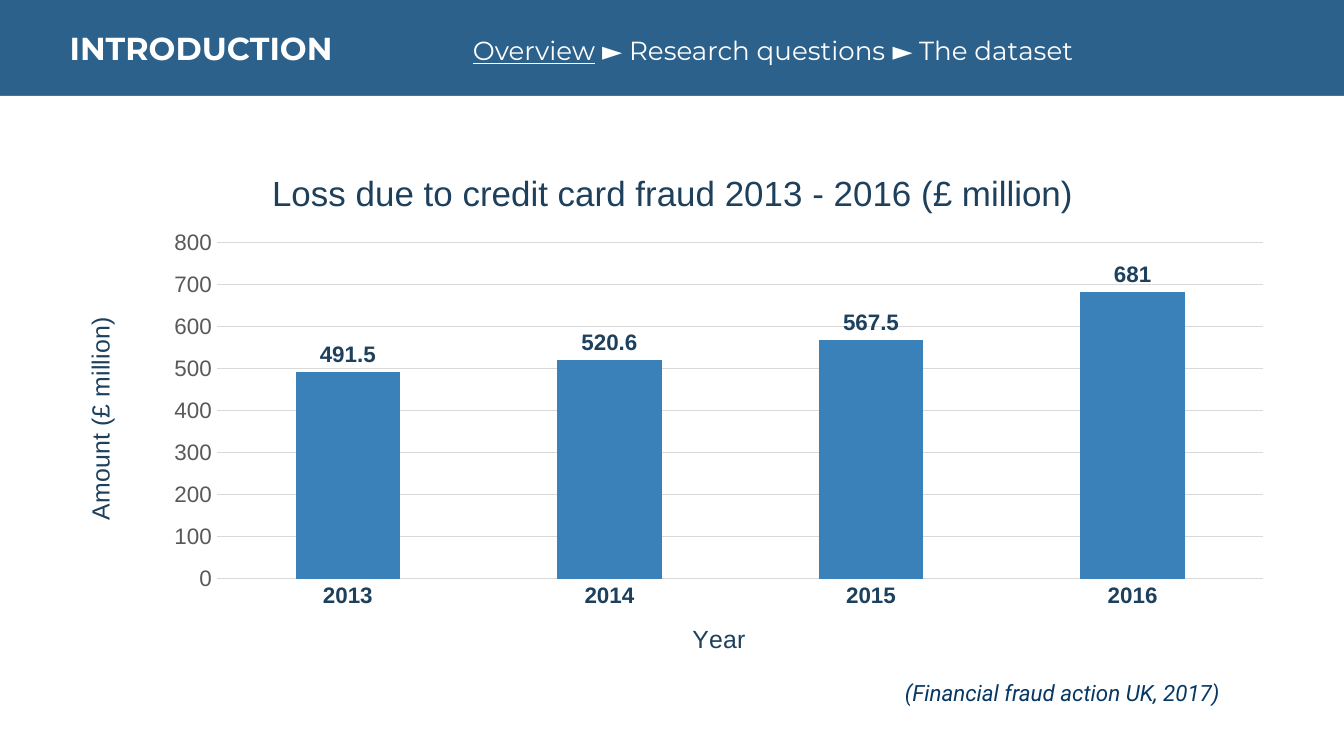
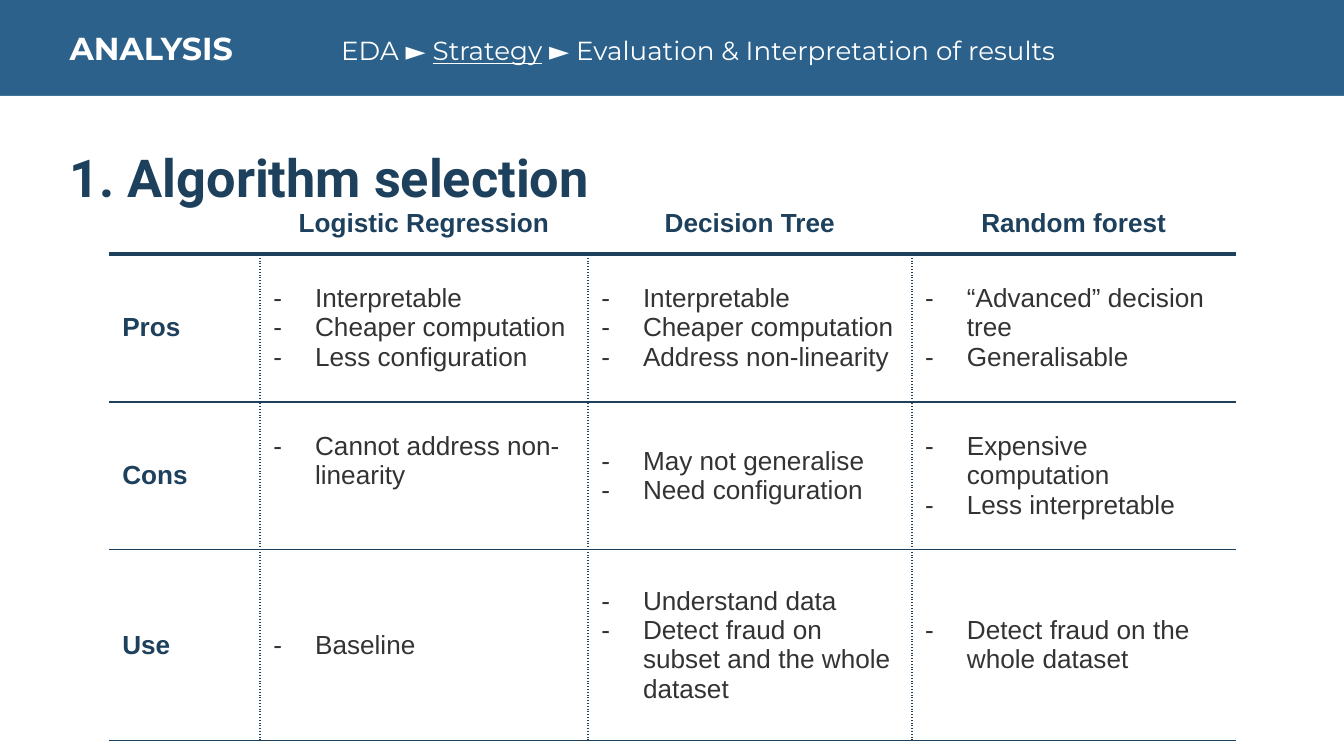
from lxml import etree
from pptx import Presentation
from pptx import util as u
from pptx.chart import data as chart_data
from pptx.dml.color import RGBColor
from pptx.enum import chart as charts, shapes, text
from pptx.oxml.ns import qn

CELL = u.Inches(0.1)
COLUMNS, ROWS = 100, 56.25
PLAIN_TABLE = "{2D5ABB26-0587-4C30-8999-92F81FD0307C}"
COLOURS = {
    "band": "2B618B",
    "paper": "FFFFFF",
    "navy": "1D405D",
    "body": "333333",
    "source": "073763",
    "bar": "3A81BA",
    "grid": "D9D9D9",
    "scale": "595959",
}


def grid(*cells):
    """Turn grid columns or rows into lengths."""
    return [int(CELL * cell) for cell in cells]


def rgb(name):
    """Look up a named colour."""
    return RGBColor.from_string(COLOURS[name])


def style(font, face="Arial", size=14, colour="navy", bold=False, italic=False, underline=False):
    """Apply a text format to a font."""
    font.name, font.size = face, u.Pt(size)
    font.bold, font.italic, font.underline = bold, italic, underline
    font.color.rgb = rgb(colour)


def write(paragraph, words, align=None, **look):
    """Append formatted words to a paragraph."""
    run = paragraph.add_run()
    run.text = words
    style(run.font, **look)
    if align is not None:
        paragraph.alignment = align


def place(parent, index, mode=(), **percents):
    """Give a chart part a manual layout in percents of the chart."""
    for old in parent.findall(qn("c:layout")):
        parent.remove(old)
    layout = etree.Element(qn("c:layout"))
    manual = etree.SubElement(layout, qn("c:manualLayout"))
    shares = [(tag, round(value / 100, 4)) for tag, value in percents.items()]
    for tag, value in [*mode, ("xMode", "edge"), ("yMode", "edge"), *shares]:
        etree.SubElement(manual, qn(f"c:{tag}")).set("val", str(value))
    parent.insert(index, layout)


def caption(owner, words, size, x, y):
    """Title a chart or an axis at a given spot."""
    title = owner.axis_title if hasattr(owner, "axis_title") else owner.chart_title
    write(title.text_frame.paragraphs[0], words, size=size)
    place(title._element, 1, x=x, y=y)


def dash_bullet(paragraph):
    """Hang a paragraph behind a dash."""
    props = paragraph._p.get_or_add_pPr()
    props.set("marL", str(u.Inches(0.31)))
    props.set("indent", str(-u.Inches(0.31)))
    etree.SubElement(props, qn("a:buFont")).set("typeface", "Arial")
    etree.SubElement(props, qn("a:buChar")).set("char", "-")


def borders(cell, **sides):
    """Draw cell borders given as side=(width, dash)."""
    props = cell._tc.get_or_add_tcPr()
    drawn = [side for side in "LRTB" if side in sides]
    for index, side in enumerate(drawn):
        width, dash = sides[side]
        line = etree.Element(qn(f"a:ln{side}"), w=str(u.Pt(width)))
        fill = etree.SubElement(line, qn("a:solidFill"))
        etree.SubElement(fill, qn("a:srgbClr")).set("val", COLOURS["navy"])
        etree.SubElement(line, qn("a:prstDash")).set("val", dash)
        props.insert(index, line)


class Deck:
    """Holds the presentation style and the current slide."""

    def __init__(self):
        """Open an empty presentation."""
        self.show = Presentation()
        self.show.slide_width, self.show.slide_height = grid(COLUMNS, ROWS)
        self.slide = None

    def page(self, section, before, current, after, tab):
        """Start a slide with its band, section name and progress trail."""
        self.slide = self.show.slides.add_slide(self.show.slide_layouts[6])
        background = self.slide.background.fill
        background.solid()
        background.fore_color.rgb = rgb("band")
        paper = self.slide.shapes.add_shape(
            shapes.MSO_SHAPE.RECTANGLE, *grid(0, 7.14, COLUMNS, ROWS - 7.14))
        paper.shadow.inherit = False
        paper.fill.solid()
        paper.fill.fore_color.rgb = rgb("paper")
        paper.line.fill.background()

        heading = self.box(4.2, 1.15, 91.6, 4.3)
        stops = etree.SubElement(heading._p.get_or_add_pPr(), qn("a:tabLst"))
        etree.SubElement(stops, qn("a:tab"), pos=str(grid(tab)[0]), algn="l")
        look = {"face": "Montserrat", "colour": "paper"}
        write(heading, section + "\t", size=17, bold=True, **look)
        for words, active in ((before, False), (current, True), (after, False)):
            if words:
                write(heading, words, underline=active, **look)

    def box(self, *at):
        """Add a text box and return its first paragraph."""
        frame = self.slide.shapes.add_textbox(*grid(*at)).text_frame
        frame.word_wrap = True
        frame.margin_left = frame.margin_right = CELL
        frame.margin_top = frame.margin_bottom = CELL
        return frame.paragraphs[0]

    def columns(self, at, losses, title, category_title, value_title):
        """Add a labelled column chart."""
        figures = chart_data.CategoryChartData()
        figures.categories = list(losses)
        figures.add_series("Series 1", losses.values())
        chart = self.slide.shapes.add_chart(
            charts.XL_CHART_TYPE.COLUMN_CLUSTERED, *grid(*at), figures).chart
        style(chart.font, size=10)
        chart.has_legend = False
        caption(chart, title, 18.7, 17, 2.8)
        place(chart._chartSpace.find(".//" + qn("c:plotArea")), 0,
              [("layoutTarget", "inner")], x=13.05, y=17.5, w=85, h=63)

        years, amounts = chart.category_axis, chart.value_axis
        caption(years, category_title, 13.3, 51.3, 88)
        caption(amounts, value_title, 13.3, 1.9, 30.7)
        style(years.tick_labels.font, size=12, bold=True)
        style(amounts.tick_labels.font, size=12, colour="scale")
        for axis in (years, amounts):
            axis.major_tick_mark = axis.minor_tick_mark = charts.XL_TICK_MARK.NONE
        amounts.minimum_scale, amounts.maximum_scale, amounts.major_unit = 0, 800, 100
        amounts.format.line.fill.background()
        for line in (years.format.line, amounts.major_gridlines.format.line):
            line.color.rgb = rgb("grid")
            line.width = u.Pt(0.75)

        plot = chart.plots[0]
        plot.gap_width, plot.vary_by_categories = 150, False
        bars = plot.series[0]
        bars.format.fill.solid()
        bars.format.fill.fore_color.rgb = rgb("bar")
        labels = bars.data_labels
        labels.show_value = True
        labels.position = charts.XL_LABEL_POSITION.OUTSIDE_END
        style(labels.font, size=12, bold=True)

    def comparison(self, left, top, widths, heights, options, aspects):
        """Add a ruled table of dashed lists and return it."""
        table = self.slide.shapes.add_table(
            len(heights), len(widths),
            *grid(left, top, sum(widths), sum(heights))).table
        table.first_row = table.horz_banding = False
        table._tbl.tblPr.find(qn("a:tableStyleId")).text = PLAIN_TABLE
        for column, width in zip(table.columns, grid(*widths)):
            column.width = width
        for row, height in zip(table.rows, grid(*heights)):
            row.height = height
        for cell in table.iter_cells():
            cell.fill.background()
            cell.vertical_anchor = text.MSO_ANCHOR.MIDDLE
            cell.margin_left = cell.margin_right = CELL
            cell.margin_top = cell.margin_bottom = CELL // 2

        thick, thin, dotted = (2.25, "solid"), (1, "solid"), (1, "sysDot")
        for column in range(len(widths)):
            borders(table.cell(0, column), B=thick)
        for column, option in enumerate(options, 1):
            write(table.cell(0, column).text_frame.paragraphs[0], option,
                  align=text.PP_ALIGN.CENTER, bold=True)
        for row, (aspect, lists) in enumerate(aspects.items(), 1):
            write(table.cell(row, 0).text_frame.paragraphs[0], aspect, bold=True)
            for column in range(len(widths)):
                sides = {"T": thick if row == 1 else thin, "B": thin}
                if column:
                    sides["L"] = dotted
                if column < len(widths) - 1:
                    sides["R"] = dotted
                borders(table.cell(row, column), **sides)
            for column, points in enumerate(lists, 1):
                frame = table.cell(row, column).text_frame
                for index, point in enumerate(points):
                    paragraph = frame.add_paragraph() if index else frame.paragraphs[0]
                    dash_bullet(paragraph)
                    write(paragraph, point, colour="body")
        return table


def main():
    """Build both slides and save them."""
    deck = Deck()

    deck.page("INTRODUCTION", "", "Overview", " ► Research questions ► The dataset", tab=30)
    deck.columns(
        (4.2, 11.1, 91.6, 39.7),
        {"2013": 491.5, "2014": 520.6, "2015": 567.5, "2016": 681},
        "Loss due to credit card fraud 2013 - 2016 (£ million)",
        "Year", "Amount (£ million)")
    write(deck.box(66.35, 49.55, 27.6, 4.1), "(Financial fraud action UK, 2017)",
          face="Roboto", size=12, colour="source", italic=True)

    deck.page("ANALYSIS", "EDA ► ", "Strategy",
              " ► Evaluation & Interpretation of results", tab=20.2)
    write(deck.box(4.2, 9.8, 90.6, 17.4), "1. Algorithm selection",
          face="Roboto", size=28, bold=True)
    algorithms = deck.comparison(
        8.1, 14.3, (11.25, 24.4, 24.1, 24.1), (4.6, 11, 11, 14.2),
        ("Logistic Regression", "Decision Tree", "Random forest"),
        {
            "Pros": (
                ("Interpretable", "Cheaper computation", "Less configuration"),
                ("Interpretable", "Cheaper computation", "Address non-linearity"),
                ("“Advanced” decision tree", "Generalisable"),
            ),
            "Cons": (
                ("Cannot address non-linearity",),
                ("May not generalise", "Need configuration"),
                ("Expensive computation", "Less interpretable"),
            ),
            "Use": (
                ("Baseline",),
                ("Understand data", "Detect fraud on subset and the whole dataset"),
                ("Detect fraud on the whole dataset",),
            ),
        })
    algorithms.cell(2, 1).margin_bottom = grid(2.7)[0]

    deck.show.save("out.pptx")


if __name__ == "__main__":
    main()
